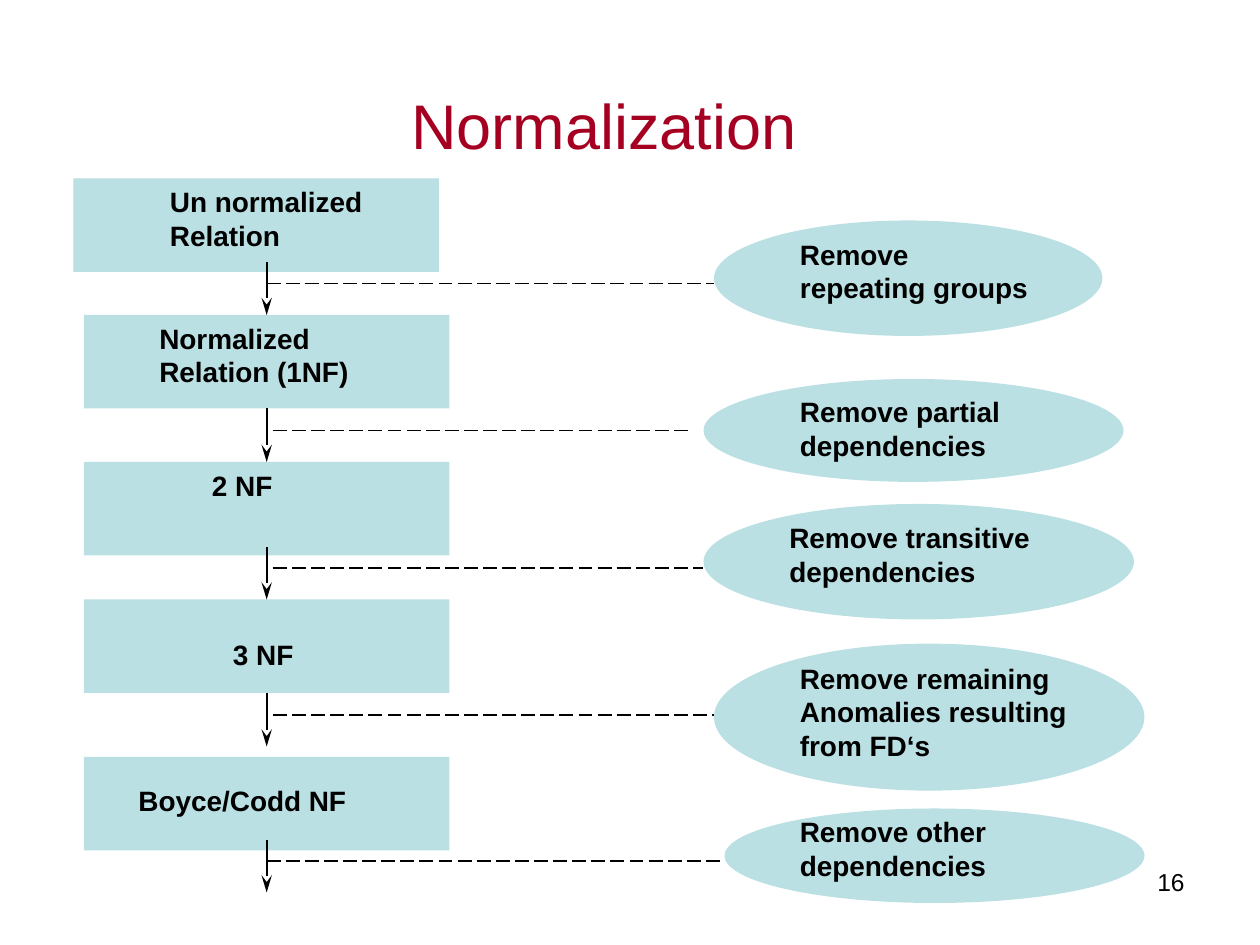
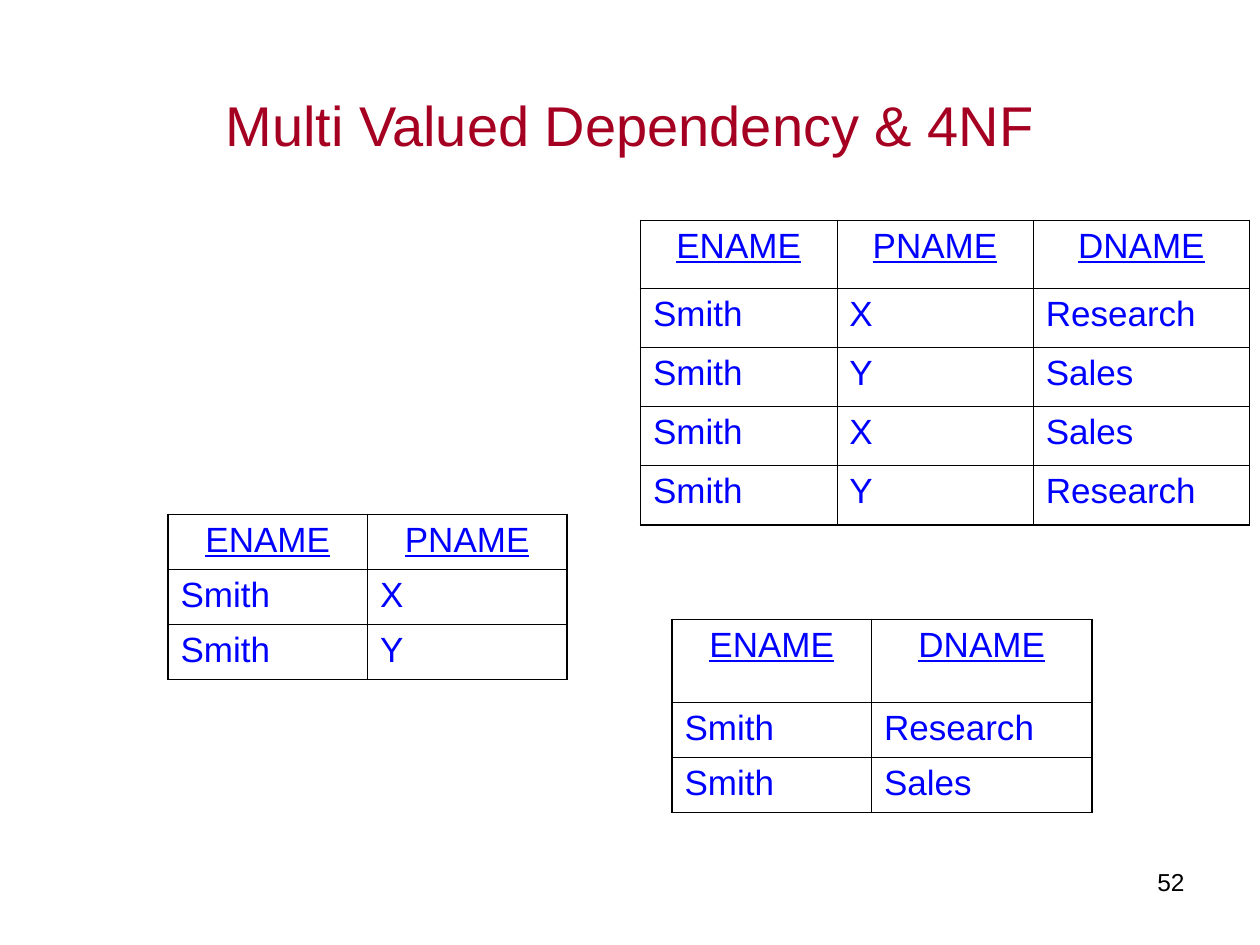
from typing import NamedTuple, Optional

import lxml.etree
import pptx
import pptx.dml.color
import pptx.enum.dml
import pptx.enum.shapes
import pptx.enum.text
import pptx.oxml.ns
import pptx.util

# Shared style
FONT = "Arial"
BLACK = "000000"
TITLE_RED = "A50021"
PALE_TEAL = "BBE0E3"
TABLE_BLUE = "0000FF"
INNER_BORDER, OUTER_BORDER = 0.45, 1.08

# Grid: 120 columns by 90 rows, square cells
SLIDE_WIDTH, SLIDE_HEIGHT = pptx.util.Inches(10), pptx.util.Inches(7.5)
CELL = SLIDE_WIDTH / 120

Align = pptx.enum.text.PP_ALIGN
Anchor = pptx.enum.text.MSO_ANCHOR
AutoSize = pptx.enum.text.MSO_AUTO_SIZE
ShapeKind = pptx.enum.shapes.MSO_SHAPE


class Area(NamedTuple):
    column: float
    row: float
    columns: float
    rows: float

    def lengths(self) -> list[int]:
        return [grid(value) for value in self]


class Node(NamedTuple):
    """A filled shape with its own label."""
    area: Area
    label: Area
    lines: list[str]


class Step(NamedTuple):
    """An arrow down from a box and the dashed line that explains it."""
    top: float
    dash_start: float
    dash_end: float


class Relation(NamedTuple):
    column: float
    row: float
    widths: list[float]
    header_height: float
    row_height: float
    rows: list[list[str]]


def grid(count: float) -> int:
    return round(count * CELL)


def color(value: str) -> pptx.dml.color.RGBColor:
    return pptx.dml.color.RGBColor.from_string(value)


def add_run(paragraph, text: str, size: float, ink: str,
            bold: bool = False, underline: bool = False) -> None:
    run = paragraph.add_run()
    run.text = text
    run.font.name = FONT
    run.font.size = pptx.util.Pt(size)
    run.font.color.rgb = color(ink)
    run.font.bold = bold
    run.font.underline = underline


def add_text(slide, area: Area, lines: list[str], size: float,
             bold: bool = False, align=Align.LEFT, wrap: bool = False) -> None:
    frame = slide.shapes.add_textbox(*area.lengths()).text_frame
    frame.word_wrap = wrap
    frame.auto_size = AutoSize.NONE if wrap else AutoSize.SHAPE_TO_FIT_TEXT
    for index, line in enumerate(lines):
        paragraph = frame.add_paragraph() if index else frame.paragraphs[0]
        paragraph.alignment = align
        add_run(paragraph, line, size, BLACK, bold)


def new_slide(presentation, title: str, area: Area, size: float, anchor, number: int):
    slide = presentation.slides.add_slide(presentation.slide_layouts[5])
    shape = slide.shapes.title
    shape.left, shape.top, shape.width, shape.height = area.lengths()
    frame = shape.text_frame
    frame.auto_size = AutoSize.NONE
    frame.vertical_anchor = anchor
    frame.paragraphs[0].alignment = Align.CENTER
    add_run(frame.paragraphs[0], title, size, TITLE_RED)
    add_text(slide, Area(86, 82, 28, 6.2), [str(number)], 14, align=Align.RIGHT, wrap=True)
    return slide


def add_shape(slide, kind, area: Area):
    shape = slide.shapes.add_shape(kind, *area.lengths())
    shape.shadow.inherit = False
    shape.fill.solid()
    shape.fill.fore_color.rgb = color(PALE_TEAL)
    shape.line.fill.background()
    return shape


def add_line(slide, start: tuple[float, float], end: tuple[float, float],
             dashed: bool = False, arrow: bool = False):
    line = slide.shapes.add_connector(
        pptx.enum.shapes.MSO_CONNECTOR.STRAIGHT, *map(grid, start + end))
    line.line.color.rgb = color(BLACK)
    line.line.width = pptx.util.Pt(1)
    if dashed:
        line.line.dash_style = pptx.enum.dml.MSO_LINE.LONG_DASH
    properties = line._element.spPr
    if arrow:
        outline = properties.find(pptx.oxml.ns.qn("a:ln"))
        lxml.etree.SubElement(outline, pptx.oxml.ns.qn("a:tailEnd"),
                              type="stealth", len="lg")
    lxml.etree.SubElement(properties, pptx.oxml.ns.qn("a:effectLst"))
    return line


def set_border(cell, side: str, points: float) -> None:
    line = lxml.etree.SubElement(
        cell._tc.get_or_add_tcPr(), pptx.oxml.ns.qn(f"a:ln{side}"),
        w=str(pptx.util.Pt(points)))
    fill = lxml.etree.SubElement(line, pptx.oxml.ns.qn("a:solidFill"))
    lxml.etree.SubElement(fill, pptx.oxml.ns.qn("a:srgbClr"), val=BLACK)


def add_relation(slide, relation: Relation) -> None:
    last_row, last_column = len(relation.rows) - 1, len(relation.widths) - 1
    heights = [relation.header_height] + [relation.row_height] * last_row
    area = Area(relation.column, relation.row, sum(relation.widths), sum(heights))
    table = slide.shapes.add_table(
        len(heights), len(relation.widths), *area.lengths()).table
    table.first_row = table.horz_banding = False
    for column, width in zip(table.columns, relation.widths):
        column.width = grid(width)
    for row, height in zip(table.rows, heights):
        row.height = grid(height)
    for i, values in enumerate(relation.rows):
        for j, value in enumerate(values):
            cell = table.cell(i, j)
            is_outer = {"L": j == 0, "R": j == last_column, "T": i == 0, "B": i == last_row}
            for side, outer in is_outer.items():
                set_border(cell, side, OUTER_BORDER if outer else INNER_BORDER)
            cell.fill.background()
            paragraph = cell.text_frame.paragraphs[0]
            paragraph.alignment = Align.LEFT if i else Align.CENTER
            add_run(paragraph, value, 20, TABLE_BLUE, underline=i == 0)


# Normalization flow
BOX_WIDTH, BOX_HEIGHT = 34.8, 8.9
SPINE = 8 + BOX_WIDTH / 2
ARROW_LENGTH = 5


def box(column: float, row: float, label: Area, *lines: str) -> Node:
    return Node(Area(column, row, BOX_WIDTH, BOX_HEIGHT), label, list(lines))


NORMAL_FORMS = [
    box(7, 17, Area(15, 17, 20.8, 7.6), "Un normalized", "Relation"),
    box(8, 30, Area(14, 30, 20.4, 7.6), "Normalized", "Relation (1NF)"),
    box(8, 44, Area(19, 44, 8.2, 4.4), "2 NF"),
    box(8, 57.1, Area(21, 60.1, 8.2, 4.4), "3 NF"),
    box(8, 72.1, Area(12, 74, 22.2, 4.4), "Boyce/Codd NF"),
]
REMOVALS = [
    Node(Area(68, 21, 37, 11), Area(75, 22, 24.1, 7.6), ["Remove", "repeating groups"]),
    Node(Area(67, 36.1, 40, 9.8), Area(75, 37, 22.2, 7.6), ["Remove partial", "dependencies"]),
    Node(Area(67, 48, 41, 11), Area(74, 49, 30.2, 7.6), ["Remove transitive", "dependencies"]),
    Node(Area(68, 61.3, 41, 14), Area(75, 62.4, 28.6, 10.8),
         ["Remove remaining", "Anomalies resulting", "from FD‘s"]),
    Node(Area(69, 77, 40, 9), Area(75, 77, 20.2, 7.6), ["Remove other", "dependencies"]),
]
STEPS = [Step(25, SPINE, 68), Step(39, 26, 66), Step(52.1, 26, 67),
         Step(66.1, 26, 68), Step(80, SPINE, 69)]


def touches(first: float, second: float) -> bool:
    return abs(first - second) < 0.25


def add_step(slide, step: Step, source, target: Optional[object]) -> None:
    bottom = step.top + ARROW_LENGTH
    arrow = add_line(slide, (SPINE, step.top), (SPINE, bottom), arrow=True)
    if touches(step.top, (source.top + source.height) / CELL):
        arrow.begin_connect(source, 2)
    if target is not None and touches(bottom, target.top / CELL):
        arrow.end_connect(target, 0)
    dash_row = step.top + 2
    add_line(slide, (step.dash_start, dash_row), (step.dash_end, dash_row), dashed=True)


def build_normalization(presentation) -> None:
    slide = new_slide(presentation, "Normalization", Area(9, 5, 97, 11), 36,
                      Anchor.BOTTOM, 16)
    boxes = [add_shape(slide, ShapeKind.RECTANGLE, node.area) for node in NORMAL_FORMS]
    for node in REMOVALS:
        add_shape(slide, ShapeKind.OVAL, node.area)
    for step, source, target in zip(STEPS, boxes, boxes[1:] + [None]):
        add_step(slide, step, source, target)
    for node in NORMAL_FORMS + REMOVALS:
        add_text(slide, node.label, node.lines, 16, bold=True)


# Multi valued dependency tables
RELATIONS = [
    Relation(61, 21, [18.7, 18.7, 20.6], 6.45, 5.64, [
        ["ENAME", "PNAME", "DNAME"],
        ["Smith", "X", "Research"],
        ["Smith", "Y", "Sales"],
        ["Smith", "X", "Sales"],
        ["Smith", "Y", "Research"],
    ]),
    Relation(16, 49, [19, 19], 5.24, 5.24, [
        ["ENAME", "PNAME"], ["Smith", "X"], ["Smith", "Y"],
    ]),
    Relation(64, 59, [19, 21], 7.9, 5.24, [
        ["ENAME", "DNAME"], ["Smith", "Research"], ["Smith", "Sales"],
    ]),
]


def build_dependency(presentation) -> None:
    slide = new_slide(presentation, "Multi Valued Dependency & 4NF",
                      Area(6, 7.6, 108, 8.4), 32, Anchor.MIDDLE, 52)
    for relation in RELATIONS:
        add_relation(slide, relation)


def main() -> None:
    presentation = pptx.Presentation()
    presentation.slide_width, presentation.slide_height = SLIDE_WIDTH, SLIDE_HEIGHT
    build_normalization(presentation)
    build_dependency(presentation)
    presentation.save("out.pptx")


if __name__ == "__main__":
    main()
